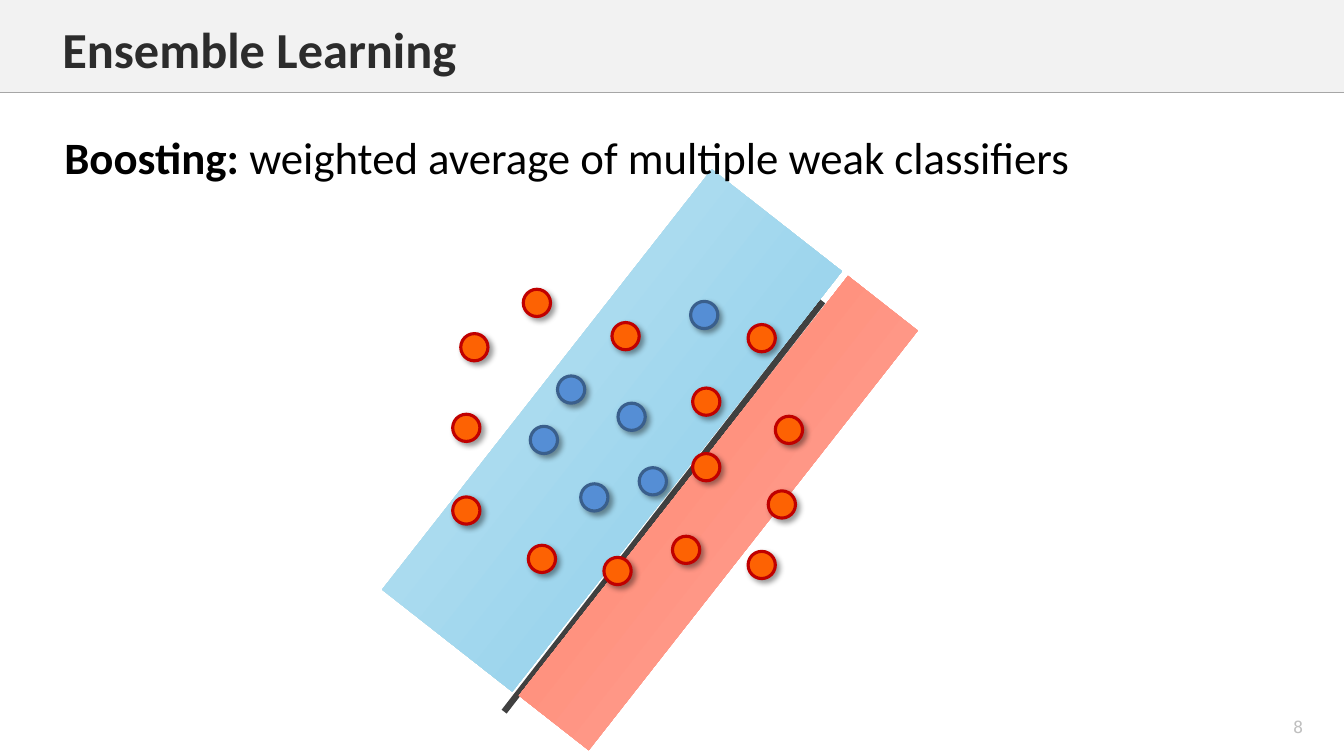
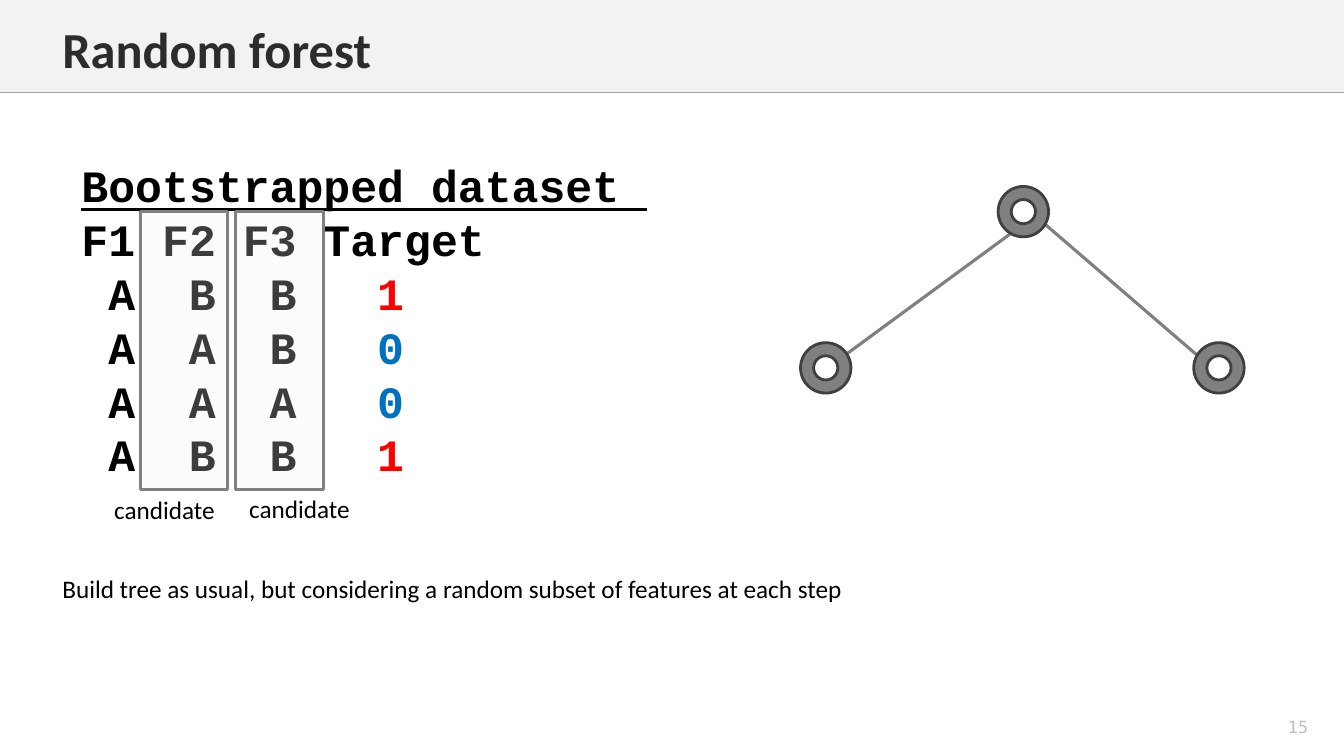
from lxml.etree import SubElement
from pptx import Presentation
from pptx.dml.color import RGBColor
from pptx.enum.shapes import MSO_CONNECTOR as Connector, MSO_SHAPE as Shape
from pptx.enum.text import MSO_ANCHOR as Anchor, PP_ALIGN as Align
from pptx.oxml.ns import qn
from pptx.util import Pt

PX = 9144  # 100 px to the inch
WIDTH, HEIGHT = 1333, 750
BAND_HEIGHT = 92
COLOURS = {
    "band": "F2F2F2", "rule": "A6A6A6", "number": "BFBFBF", "title": "2C2C2C",
    "black": "000000", "white": "FFFFFF", "dark": "404040", "grey": "808080",
    "orange": "FD6203", "orange edge": "C00000",
    "blue": "558ED5", "blue edge": "3A5F8C",
    "red near": "FF7F69", "red far": "FFAA9C",
    "sky near": "86CCE9", "sky far": "C1E4F3",
    "one": "FF0000", "zero": "0070C0",
}
RGB = {name: RGBColor.from_string(value) for name, value in COLOURS.items()}


def add_figure(shapes, kind, at, fill=None, edge=None, weight=2):
    """Add a preset shape without shadow; at is left, top, width, height."""
    figure = shapes.add_shape(kind, *(length * PX for length in at))
    figure.shadow.inherit = False
    if fill:
        figure.fill.solid()
        figure.fill.fore_color.rgb = RGB[fill]
    if edge:
        figure.line.color.rgb = RGB[edge]
        figure.line.width = Pt(weight)
    else:
        figure.line.fill.background()
    return figure


def add_text(page, at, lines, size, colour="black", bold=False,
             face="Calibri", align=Align.LEFT):
    """Add a text box; each line is a list of run texts."""
    box = page.shapes.add_textbox(*(length * PX for length in at))
    frame = box.text_frame
    frame.word_wrap = True
    frame.text = "\n".join([""] * len(lines))
    for para, texts in zip(frame.paragraphs, lines):
        para.alignment = align
        for text in texts:
            span = para.add_run()
            span.text = text
            span.font.name = face
            span.font.size = Pt(size)
            span.font.bold = bold
            span.font.color.rgb = RGB[colour]
    return box


deck = Presentation()
deck.slide_width, deck.slide_height = WIDTH * PX, HEIGHT * PX

# Title, page number and the lines behind each slide's drawing
rule = ((0, BAND_HEIGHT, WIDTH, BAND_HEIGHT), "rule", 1)
outlines = [
    ("Ensemble Learning", "8", [((500, 706, 816, 299), "dark", 4.5)]),
    ("Random forest", "15", [((1013, 224, 810, 373), "grey", 2.25),
                             ((1195, 359, 1022, 210), "grey", 2.25)]),
]
pages = []
for title, number, lines in outlines:
    page = deck.slides.add_slide(deck.slide_layouts[6])
    add_figure(page.shapes, Shape.RECTANGLE, (0, 0, WIDTH, BAND_HEIGHT), "band")
    for ends, colour, weight in [rule, *lines]:
        line = page.shapes.add_connector(
            Connector.STRAIGHT, *(length * PX for length in ends))
        line.line.color.rgb = RGB[colour]
        line.line.width = Pt(weight)
        SubElement(line.element.spPr, qn("a:effectLst"))
    footer = add_text(page, (1244, 706, 87, 31), [[number]], 12, "number",
                      face="DejaVu Sans Mono", align=Align.CENTER)
    footer.text_frame.vertical_anchor = Anchor.MIDDLE
    add_text(page, (52, 13, 1189, 71), [[title]], 36, "title", bold=True)
    pages.append(page)
boosting, forest = pages

# Boosting: two shaded half-planes and the labelled points
for at, turn, far, near in [
    ((448, 465, 529, 88), 128.1, "red far", "red near"),
    ((342, 345, 530, 164), 308.1, "sky far", "sky near"),
]:
    side = add_figure(boosting.shapes, Shape.RECTANGLE, at)
    side.rotation = turn
    side.fill.gradient()
    side.fill.gradient_angle = 270
    for stop, colour in zip(side.fill.gradient_stops, (far, near)):
        stop.color.rgb = RGB[colour]

lead = add_text(boosting, (54, 124, 1077, 64),
                [["Boosting: ", "weighted average of multiple weak classifiers"]],
                32, bold=True)
lead.text_frame.paragraphs[0].runs[1].font.bold = False

points = {
    "blue": [(553, 373), (613, 400), (526, 423), (576, 480), (685, 299), (634, 464)],
    "orange": [(519, 287), (687, 385), (449, 411), (524, 541), (449, 493),
               (607, 320), (457, 331), (742, 322), (667, 532), (762, 487),
               (599, 553), (742, 547), (687, 450), (769, 413)],
}
for colour, places in points.items():
    for left, top in places:
        dot = add_figure(boosting.shapes, Shape.OVAL, (left, top, 27, 27),
                         colour, colour + " edge", 2.25)
        effects = dot.element.spPr.find(qn("a:effectLst"))
        shadow = SubElement(effects, qn("a:outerShdw"), blurRad=str(Pt(4)),
                            dist=str(Pt(3)), dir="2700000", algn="tl", rotWithShape="0")
        tint = SubElement(shadow, qn("a:srgbClr"), val=COLOURS["black"])
        SubElement(tint, qn("a:alpha"), val="40000")

# Random forest: tree nodes
for left, top in [(794, 340), (1184, 340), (990, 185)]:
    node = forest.shapes.add_group_shape()
    add_figure(node.shapes, Shape.OVAL, (left, top, 50, 50), "grey", "dark")
    add_figure(node.shapes, Shape.OVAL, (left + 13, top + 13, 24, 24), "white", "dark")

# Random forest: dataset in monospaced columns
rows = ["ABB1", "AAB0", "AAA0", "ABB1"]
CHARACTER = 19.2  # advance of one 32 pt character, in points
dataset = add_text(
    forest, (71, 152, 690, 333),
    [["Bootstrapped dataset "], ["F1 F2 F3 Target"],
     *[["\t" + "\t".join(row[:3]) + "\t", row[3]] for row in rows]],
    32, bold=True, face="Courier New")
paras = dataset.text_frame.paragraphs
paras[0].runs[0].font.underline = True
for para in paras:
    para.line_spacing = Pt(38.4)
for para, row in zip(paras[2:], rows):
    stops = SubElement(para._p.get_or_add_pPr(), qn("a:tabLst"))
    for column in (1, 4, 7, 11):
        SubElement(stops, qn("a:tab"), pos=str(Pt(column * CHARACTER)), algn="l")
    para.runs[1].font.color.rgb = RGB["one" if row[3] == "1" else "zero"]

# Random forest: candidate features
for frame_left, label_left, label_top in [(139, 92, 485), (234, 226, 484)]:
    veil = add_figure(forest.shapes, Shape.RECTANGLE, (frame_left, 210, 87, 276),
                      "band", "grey")
    tint = veil.element.spPr.find(qn("a:solidFill")).find(qn("a:srgbClr"))
    SubElement(tint, qn("a:alpha"), val="25000")
    add_text(forest, (label_left, label_top, 142, 40), [["candidate"]], 18,
             align=Align.CENTER)

add_text(forest, (52, 564, 812, 40),
         [["Build tree as usual, but considering a random subset of features at each step"]],
         18)

deck.save("out.pptx")
